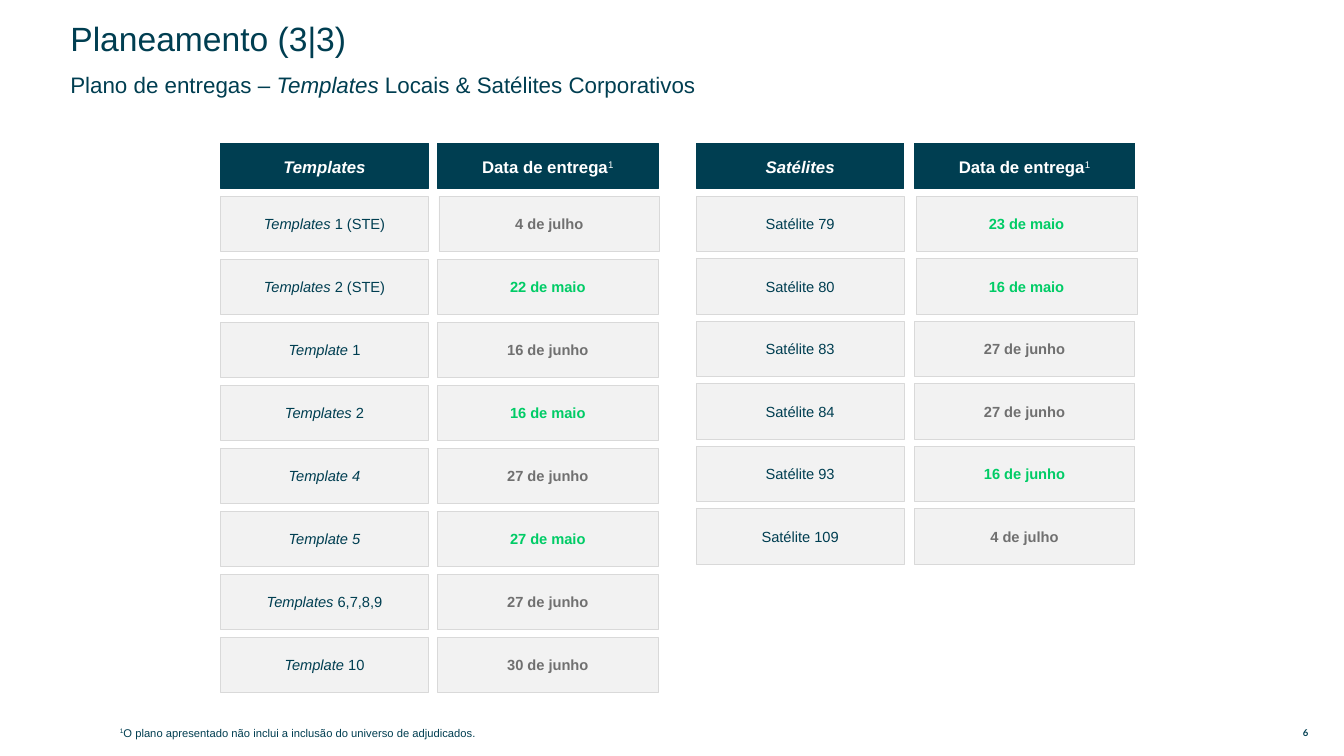
import pptx
import pptx.util
import pptx.dml.color
import pptx.enum.shapes
import pptx.enum.text

PX = 4572  # 200 px to the inch
COLORS = {"petrol": "003E51", "white": "FFFFFF", "cell": "F2F2F2",
          "border": "D9D9D9", "planned": "707070", "done": "00CC66"}
ALIGN = pptx.enum.text.PP_ALIGN
ANCHOR = pptx.enum.text.MSO_ANCHOR


def rgb(name):
    return pptx.dml.color.RGBColor.from_string(COLORS[name])


def write(shape, runs, size, color, bold=None, font="Arial", align=ALIGN.LEFT,
          spacing=None, insets=(20, 10), anchor=ANCHOR.MIDDLE):
    """Runs are (text, style) pairs; style is "", "i" (italic) or "sup"."""
    frame = shape.text_frame
    frame.word_wrap = True
    frame.vertical_anchor = anchor
    frame.margin_left = frame.margin_right = insets[0] * PX
    frame.margin_top = frame.margin_bottom = insets[1] * PX
    paragraph = frame.paragraphs[0]
    paragraph.alignment = align
    paragraph.line_spacing = spacing
    paragraph.font.name = font
    paragraph.font.size = pptx.util.Pt(size)
    paragraph.font.color.rgb = rgb(color)
    paragraph.font.bold = bold
    for text, style in runs:
        run = paragraph.add_run()
        run.text = text
        if style == "i":
            run.font.italic = True
        elif style == "sup":
            run.font.bold = False
            run._r.get_or_add_rPr().set("baseline", "30000")


prs = pptx.Presentation()
prs.slide_width, prs.slide_height = 2667 * PX, 1500 * PX
slide = prs.slides.add_slide(prs.slide_layouts[6])

# Page number, headings and footnote
page_number = slide.shapes.add_textbox(2546 * PX, 1438 * PX, 90 * PX, 32 * PX)
write(page_number, [("6", "")], 6.8, "petrol", bold=True, font="Lato",
      align=ALIGN.CENTER, insets=(12, 6))
title = slide.shapes.add_textbox(120 * PX, 54 * PX, 1590 * PX, 52 * PX)
write(title, [("Planeamento (3|3)", "")], 24, "petrol", spacing=0.9)
subtitle = slide.shapes.add_textbox(120 * PX, 146 * PX, 1532 * PX, 52 * PX)
write(subtitle, [("Plano de entregas – ", ""), ("Templates", "i"),
                 (" Locais & Satélites Corporativos", "")], 16, "petrol", spacing=0.9)
footnote = slide.shapes.add_textbox(218 * PX, 1428 * PX, 2162 * PX, 48 * PX)
write(footnote, [("1", "sup"),
                 ("O plano apresentado não inclui a inclusão do universo de adjudicados.", "")],
      8, "petrol", spacing=1.1, anchor=ANCHOR.TOP)

# Delivery plans: heading, left, date left, row pitch, date nudges by row, rows
# Each row: italic part, upright part, date, status
plans = [
    ("Templates", 438, 868, 125, {0: 3}, [
        ("Templates ", "1 (STE)", "4 de julho", "planned"),
        ("Templates ", "2 (STE)", "22 de maio", "done"),
        ("Template ", "1", "16 de junho", "planned"),
        ("Templates ", "2", "16 de maio", "done"),
        ("Template 4", "", "27 de junho", "planned"),
        ("Template 5", "", "27 de maio", "done"),
        ("Templates", " 6,7,8,9", "27 de junho", "planned"),
        ("Template ", "10", "30 de junho", "planned"),
    ]),
    ("Satélites", 1382, 1814, 124, {0: 4, 1: 4}, [
        ("", "Satélite 79", "23 de maio", "done"),
        ("", "Satélite 80", "16 de maio", "done"),
        ("", "Satélite 83", "27 de junho", "planned"),
        ("", "Satélite 84", "27 de junho", "planned"),
        ("", "Satélite 93", "16 de junho", "done"),
        ("", "Satélite 109", "4 de julho", "planned"),
    ]),
]
HEADER_TOP, HEADER_HEIGHT = 284, 90
FIRST_ROW_TOP, ROW_HEIGHT = 389, 110
LABEL_WIDTH, DATE_WIDTH = 412, 438

for heading, label_left, date_left, pitch, nudges, rows in plans:
    # Cells: left, top, width, height, runs, text colour, bold, is header
    cells = [
        (label_left, HEADER_TOP, LABEL_WIDTH, HEADER_HEIGHT,
         [(heading, "i")], "white", True, True),
        (date_left, HEADER_TOP, DATE_WIDTH, HEADER_HEIGHT,
         [("Data de entrega", ""), ("1", "sup")], "white", True, True),
    ]
    for i, (italic, upright, date, status) in enumerate(rows):
        top = FIRST_ROW_TOP + i * pitch
        label = [(text, style) for text, style in ((italic, "i"), (upright, "")) if text]
        cells.append((label_left, top, LABEL_WIDTH, ROW_HEIGHT,
                      label, "petrol", None, False))
        cells.append((date_left + nudges.get(i, 0), top, DATE_WIDTH, ROW_HEIGHT,
                      [(date, "")], status, True, False))

    plan = slide.shapes.add_group_shape()
    for left, top, width, height, runs, color, bold, is_header in cells:
        cell = plan.shapes.add_shape(pptx.enum.shapes.MSO_SHAPE.RECTANGLE,
                                     left * PX, top * PX, width * PX, height * PX)
        cell.shadow.inherit = False
        cell.fill.solid()
        cell.fill.fore_color.rgb = rgb("petrol" if is_header else "cell")
        cell.line.color.rgb = rgb("petrol" if is_header else "border")
        cell.line.width = pptx.util.Pt(0.75 if is_header else 0.5)
        write(cell, runs, 12 if is_header else 10.5, color, bold, align=ALIGN.CENTER,
              spacing=1.1 if is_header else None, insets=(8, 8))

prs.save("out.pptx")
